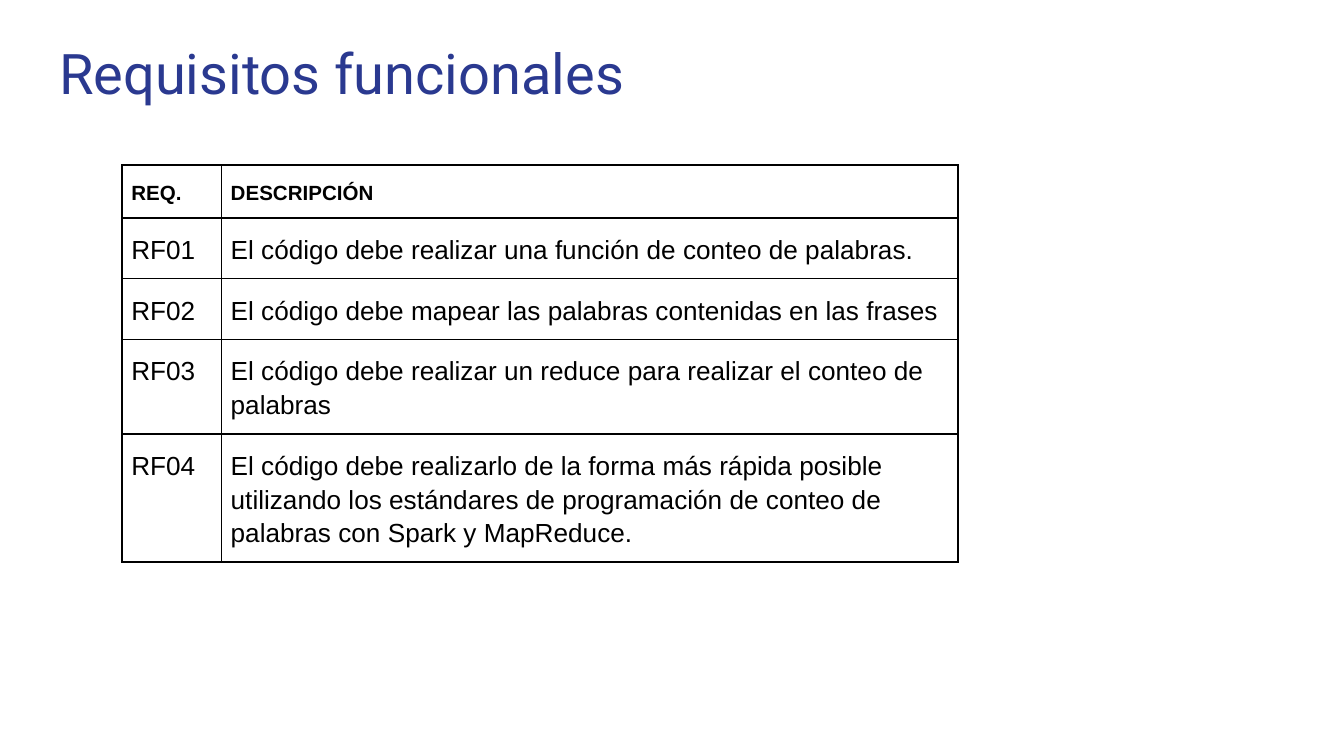
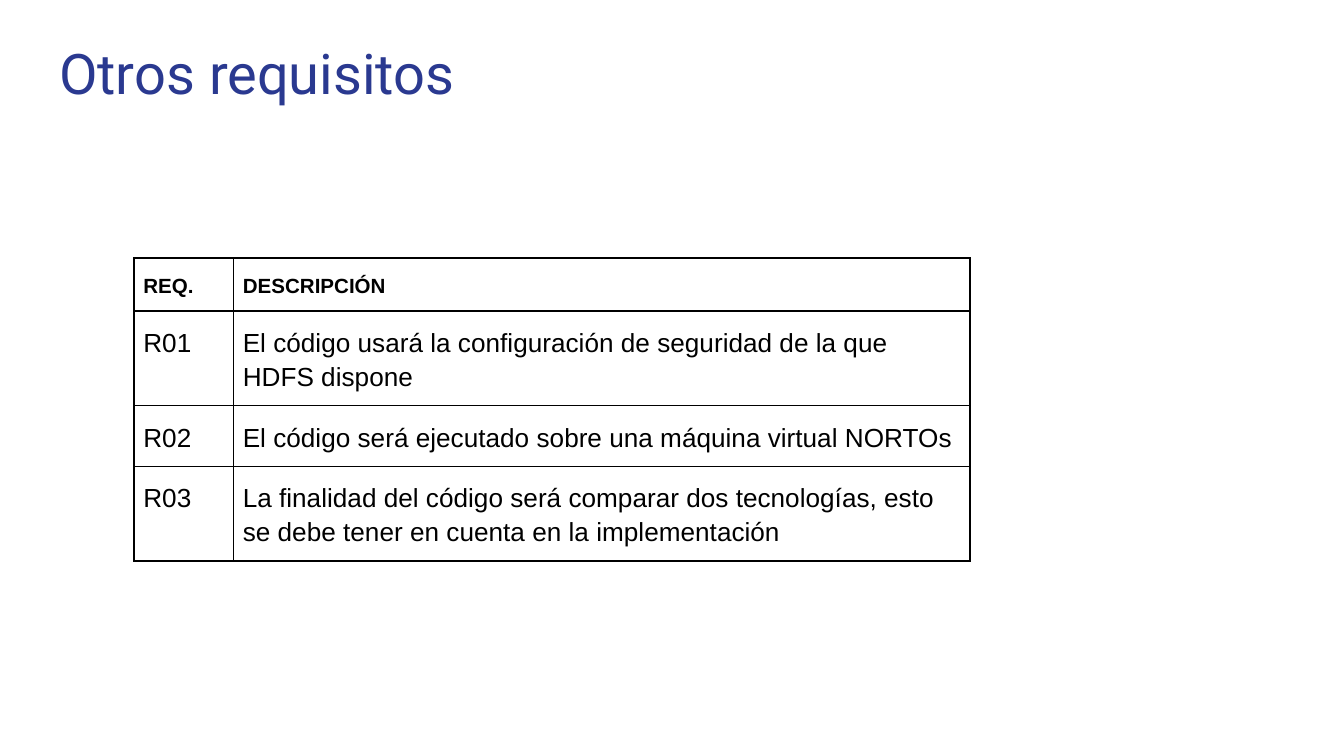
from dataclasses import dataclass
from typing import Any

from lxml import etree
from pptx import Presentation
from pptx.dml.color import RGBColor
from pptx.enum.text import MSO_ANCHOR, MSO_AUTO_SIZE, PP_ALIGN
from pptx.oxml.ns import qn
from pptx.util import Emu, Inches, Pt

LEFT = PP_ALIGN.LEFT
TOP, MIDDLE = MSO_ANCHOR.TOP, MSO_ANCHOR.MIDDLE
NO_FIT = MSO_AUTO_SIZE.NONE

WIDTH = Inches(10)
HEIGHT = Emu(WIDTH * 9 // 16)
INDIGO, BLACK = "2A3990", "000000"
COLUMNS = (7.4, 54.8)
ROW, LAST_ROW = 3.56, 6.93
HEADINGS = ("REQ.", "DESCRIPCIÓN")
BORDER_WIDTH = Pt(1)


def across(percent: float) -> Emu:
    return Emu(round(WIDTH * percent / 100))


def down(percent: float) -> Emu:
    return Emu(round(HEIGHT * percent / 100))


def color(value: str) -> RGBColor:
    return RGBColor.from_string(value)


def apply(target: Any, formats: dict[str, Any]) -> None:
    for name, value in formats.items():
        setattr(target, name, value)


TITLE_BOX = dict(left=across(3.4), top=down(8), width=across(93.2), height=down(11.74))
TITLE_FRAME = dict(margin_left=across(1), margin_right=across(1),
                   margin_top=down(1.24), margin_bottom=down(9.96),
                   vertical_anchor=MIDDLE, auto_size=NO_FIT, word_wrap=True)
TITLE_FONT = dict(name="Roboto", size=Pt(30), bold=False)
CELL_FRAME = dict(margin_left=across(0.7), margin_right=across(0.7),
                  margin_top=down(1.78), margin_bottom=down(1.78),
                  vertical_anchor=TOP)
HEADING_FONT = dict(name="Arial", size=Pt(11), bold=True)
BODY_FONT = dict(name="Arial", size=Pt(14), bold=False)
PLAIN_TABLE = dict(first_row=False, horz_banding=False)


@dataclass(frozen=True)
class Requirements:
    title: str
    left: float
    top: float
    prefix: str
    descriptions: tuple[str, ...]

    def rows(self) -> list[tuple[str, str]]:
        return [HEADINGS] + [(f"{self.prefix}{n:02}", text)
                             for n, text in enumerate(self.descriptions, 1)]


SLIDES = (
    Requirements("Requisitos funcionales", 9.07, 21.8, "RF", (
        "El código debe realizar una función de conteo de palabras.",
        "El código debe mapear las palabras contenidas en las frases",
        "El código debe realizar un reduce para realizar el conteo de palabras",
        "El código debe realizarlo de la forma más rápida posible utilizando los "
        "estándares de programación de conteo de palabras con Spark y MapReduce.",
    )),
    Requirements("Otros requisitos", 9.97, 34.13, "R", (
        "El código usará la configuración de seguridad de la que HDFS dispone",
        "El código será ejecutado sobre una máquina virtual NORTOs",
        "La finalidad del código será comparar dos tecnologías, esto se debe "
        "tener en cuenta en la implementación",
    )),
)


def write(p: Any, text: str, font: dict[str, Any], hex_color: str) -> None:
    p.alignment = LEFT
    r = p.add_run()
    r.text = text
    apply(r.font, font)
    r.font.color.rgb = color(hex_color)


def add_title(s: Any, text: str) -> None:
    sp = s.shapes.title
    apply(sp, TITLE_BOX)
    apply(sp.text_frame, TITLE_FRAME)
    write(sp.text_frame.paragraphs[0], text, TITLE_FONT, INDIGO)


def add_borders(cell: Any) -> None:
    tc_pr = cell._tc.get_or_add_tcPr()
    for side in "LRTB":
        ln = etree.SubElement(tc_pr, qn(f"a:ln{side}"), w=str(BORDER_WIDTH))
        fill = etree.SubElement(ln, qn("a:solidFill"))
        etree.SubElement(fill, qn("a:srgbClr"), val=BLACK)


def fill_cell(cell: Any, text: str, font: dict[str, Any]) -> None:
    apply(cell, CELL_FRAME)
    add_borders(cell)
    cell.fill.background()
    p = cell.text_frame.paragraphs[0]
    p.line_spacing = 1.15
    write(p, text, font, BLACK)


def add_requirements(s: Any, req: Requirements) -> None:
    rows = req.rows()
    heights = [ROW] * (len(rows) - 1) + [LAST_ROW]
    table = s.shapes.add_table(
        len(rows), len(COLUMNS), across(req.left), down(req.top),
        across(sum(COLUMNS)), down(sum(heights))).table
    apply(table, PLAIN_TABLE)
    for column, width in zip(table.columns, COLUMNS):
        column.width = across(width)
    for i, (row, height, texts) in enumerate(zip(table.rows, heights, rows)):
        row.height = down(height)
        for cell, text in zip(row.cells, texts):
            fill_cell(cell, text, BODY_FONT if i else HEADING_FONT)


def main() -> None:
    prs = Presentation()
    prs.slide_width, prs.slide_height = WIDTH, HEIGHT
    for req in SLIDES:
        s = prs.slides.add_slide(prs.slide_layouts[5])
        add_title(s, req.title)
        add_requirements(s, req)
    prs.save("out.pptx")


if __name__ == "__main__":
    main()
